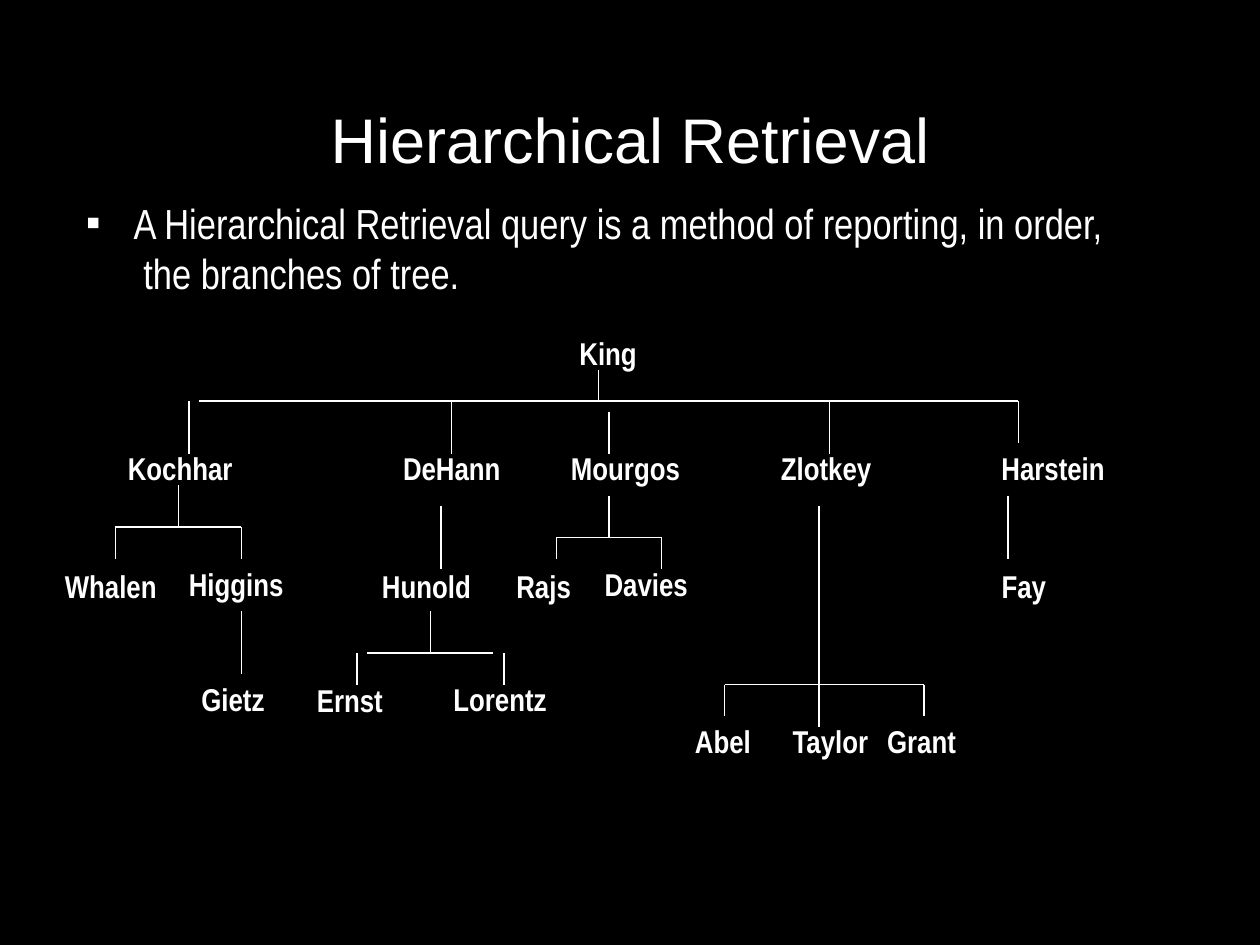
from lxml import etree
from pptx import Presentation
from pptx import util as u
from pptx.dml.color import RGBColor
from pptx.enum import shapes, text
from pptx.oxml.ns import qn

WHITE = RGBColor(255, 255, 255)
BLACK = RGBColor(0, 0, 0)

deck = Presentation()
deck.slide_width, deck.slide_height = u.Inches(10), u.Inches(7.5)
CELL = deck.slide_width / 120  # 120 columns by 90 rows
DROP = 0.2  # the rows start a little below the slide's top
SLACK = 0.3  # spare width that keeps each name on one line

slide = deck.slides.add_slide(deck.slide_layouts[6])
slide.background.fill.solid()
slide.background.fill.fore_color.rgb = BLACK


def put(lines, col, row, wide, high, size, face, bold=False, wrap=True):
    """Add a text box at a grid cell and return its paragraph."""
    box = slide.shapes.add_textbox(int(col * CELL), int((row + DROP) * CELL),
                                   int(wide * CELL), int(high * CELL))
    frame = box.text_frame
    frame.word_wrap = wrap
    frame.auto_size = text.MSO_AUTO_SIZE.SHAPE_TO_FIT_TEXT
    para = frame.paragraphs[0]
    for i, line in enumerate(lines):
        if i:
            para.add_line_break()
        run = para.add_run()
        run.text = line
        run.font.size, run.font.name = u.Pt(size), face
        run.font.bold, run.font.color.rgb = bold, WHITE
    return para


def rule(x1, y1, x2, y2, thick=0.75):
    ends = [int(n * CELL) for n in (x1, y1 + DROP, x2, y2 + DROP)]
    line = slide.shapes.add_connector(shapes.MSO_CONNECTOR.STRAIGHT, *ends)
    line.line.color.rgb, line.line.width = WHITE, u.Pt(thick)
    etree.SubElement(line._element.spPr, qn("a:effectLst"))


# Title and definition
title = put(["Hierarchical Retrieval"], 0, 8.8, 120, 8.4, 36, "Arial")
title.alignment = text.PP_ALIGN.CENTER

point = put(["A Hierarchical Retrieval query is a method of reporting, in order,",
             " the branches of tree."], 7, 18, 107, 10.8, 24, "Arial Narrow")
props = point._p.get_or_add_pPr()
hang = u.Inches(0.38)
props.set("marL", str(hang))
props.set("indent", str(-hang))
tint = etree.SubElement(props, qn("a:buClr"))
etree.SubElement(tint, qn("a:srgbClr"), val=str(WHITE))
etree.SubElement(props, qn("a:buFont"), typeface="Arial")
etree.SubElement(props, qn("a:buChar"), char="▪")

# Names: row, then (name, column, width)
tree = [
    (31, [("King", 54, 7.8)]),
    (42, [("Kochhar", 11, 12.4), ("DeHann", 37.2, 11.6), ("Mourgos", 53.2, 12.7),
          ("Zlotkey", 73.2, 11), ("Harstein", 94.2, 12.2)]),
    (53.2, [("Whalen", 5, 11.2), ("Hunold", 35.2, 10.8), ("Rajs", 48, 7.6),
            ("Fay", 94.2, 6.6)]),
    (53, [("Higgins", 16.8, 11.4), ("Davies", 56.4, 10.3)]),
    (64.1, [("Ernst", 29, 8.6)]),
    (64, [("Gietz", 18, 8.4), ("Lorentz", 42, 11.3)]),
    (68, [("Abel", 65, 7.7), ("Taylor", 74.3, 9.7), ("Grant", 83.3, 8.9)]),
]
for row, names in tree:
    for name, col, wide in names:
        put([name], col, row, wide + SLACK, 4.8, 18, "Arial Narrow", True, False)

# Level bars: row, left, right, thickness
for row, left, right, thick in [(38, 19, 97, 1.5), (50, 11, 23, 0.75),
                                (51, 53, 63, 0.75), (62, 35, 47, 0.75),
                                (65, 69, 88, 0.75)]:
    rule(left, row, right, row, thick)

# Stems: column, top, bottom
stems = [
    (57, 35, 38), (18, 38, 43), (43, 38, 43), (58, 39, 43), (79, 38, 43), (97, 38, 42),
    (17, 46, 50), (11, 50, 53), (23, 50, 53), (23, 58, 64),
    (42, 48, 54), (41, 58, 62), (34, 62, 65), (48, 62, 65),
    (58, 47, 51), (53, 51, 53), (63, 51, 54),
    (78, 48, 65), (69, 65, 68), (78, 65, 69), (88, 65, 68),
    (96, 47, 53),
]
for col, top, base in stems:
    rule(col, top, col, base)

deck.save("out.pptx")
